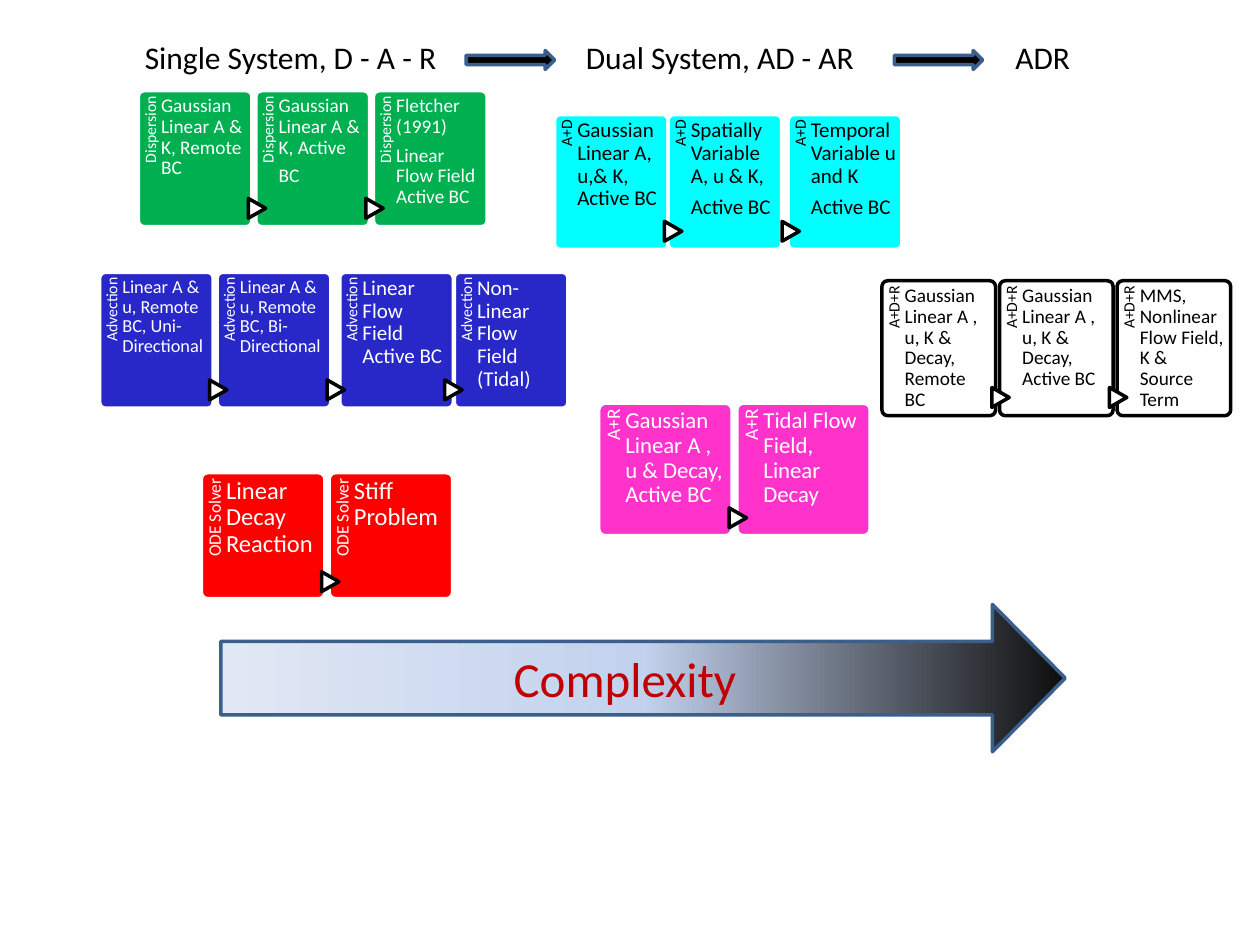
from copy import deepcopy

from pptx import Presentation
from pptx.dml.color import RGBColor
from pptx.enum.shapes import MSO_SHAPE
from pptx.enum.text import MSO_ANCHOR, PP_ALIGN
from pptx.util import Cm, Pt

FONT = "Calibri"
BLACK, WHITE, STEEL = "000000", "FFFFFF", "3A5F8C"
PITCH = 1.035  # distance between cards, in card widths

# box (left, top, width, height in cm), fill, outline, text colour, label,
# label size, cards as (text, size, nudge to the right in cm)
CHAINS = [
    ((2.01, 5.49, 2.29, 2.74), "2828C8", WHITE, WHITE, "Advection", 9, [
        ("Linear A & u, Remote BC, Uni-Directional", 10.5, 0),
        ("Linear A & u, Remote BC, Bi- Directional", 10.5, 0),
        ("Linear Flow Field Active BC", 12, 0.1),
        ("Non-Linear Flow Field (Tidal)", 12, 0.04)]),
    ((2.79, 1.83, 2.29, 2.74), "00B050", WHITE, WHITE, "Dispersion", 9, [
        ("Gaussian Linear A & K, Remote BC", 11, 0),
        ("Gaussian Linear A & K, Active\nBC", 11, 0),
        ("Fletcher (1991)\nLinear Flow Field Active BC", 11, 0)]),
    ((4.06, 9.53, 2.49, 2.54), "FF0000", WHITE, WHITE, "ODE Solver", 10, [
        ("Linear Decay Reaction", 14, 0),
        ("Stiff Problem", 14, 0)]),
    ((12.07, 8.13, 2.69, 2.67), "FF33CC", WHITE, WHITE, "A+R", 11, [
        ("Gaussian Linear A , u & Decay, Active BC", 13, 0),
        ("Tidal Flow Field, Linear Decay", 13, 0)]),
    ((11.18, 2.31, 2.29, 2.72), "00FFFF", WHITE, BLACK, "A+D", 9, [
        ("Gaussian Linear A, u,& K, Active BC", 12, 0),
        ("Spatially Variable A, u & K,\nActive BC", 12, -0.08),
        ("Temporal Variable u and K\nActive BC", 12, -0.03)]),
    ((17.78, 5.66, 2.29, 2.72), WHITE, BLACK, BLACK, "A+D+R", 9, [
        ("Gaussian Linear A , u, K & Decay, Remote BC", 11, 0),
        ("Gaussian Linear A , u, K & Decay, Active BC", 11, 0),
        ("MMS, Nonlinear Flow Field, K & Source Term", 11, 0)]),
]


def color(value):
    """Return the colour for a hex string."""
    return RGBColor.from_string(value)


def add_shape(page, kind, box, fill, line, rotation=0):
    """Add a flat preset shape with a 2 pt outline."""
    shape = page.shapes.add_shape(kind, *[Cm(length) for length in box])
    shape.shadow.inherit = False
    shape.rotation = rotation
    if fill:
        shape.fill.solid()
        shape.fill.fore_color.rgb = color(fill)
    shape.line.color.rgb = color(line)
    shape.line.width = Pt(2)
    return shape


def format_text(frame, text, size, ink, align=PP_ALIGN.LEFT):
    """Fill a text frame and format all its runs."""
    frame.text = text
    for para in frame.paragraphs:
        para.alignment = align
        for span in para.runs:
            span.font.name = FONT
            span.font.size = Pt(size)
            span.font.color.rgb = color(ink)


def add_text(page, box, text, size, ink, align=PP_ALIGN.LEFT):
    """Add a wrapping text box."""
    shape = page.shapes.add_textbox(*[Cm(length) for length in box])
    shape.text_frame.word_wrap = True
    format_text(shape.text_frame, text, size, ink, align)
    return shape


def add_card_text(page, box, text, size, ink, top, right=0, align=PP_ALIGN.LEFT):
    """Add tightly set text with the given top and right insets."""
    shape = add_text(page, box, text, size, ink, align)
    frame = shape.text_frame
    frame.margin_left = frame.margin_bottom = 0
    frame.margin_top, frame.margin_right = Cm(top), Cm(right)
    for para in frame.paragraphs:
        para.line_spacing = 0.9
        para.space_after = Pt(round(size * 0.42, 1))
    return shape


def add_triangle(page, center_x, center_y):
    """Add the small pointer that leads from one card to the next."""
    width, height = 0.4, 0.35
    box = (center_x - width / 2, center_y - height / 2, width, height)
    add_shape(page, MSO_SHAPE.FLOWCHART_EXTRACT, box, WHITE, BLACK, 90)


def add_chain(page, box, fill, line, ink, label, label_size, cards):
    """Add a row of cards; the box is that of the first card."""
    first, top, width, height = box
    for index, (text, size, nudge) in enumerate(cards):
        slot = first + index * PITCH * width
        left = slot + nudge
        card = add_shape(page, MSO_SHAPE.ROUNDED_RECTANGLE,
                         (left, top, width, height), fill, line)
        card.adjustments[0] = 0.05
        long, short = 0.82 * height, 0.2 * width
        label_box = (left + (short - long) / 2, top + (long - short) / 2, long, short)
        tag = add_card_text(page, label_box, label, label_size, ink,
                            0.035 * width, 0.045 * width, PP_ALIGN.RIGHT)
        tag.rotation = 270
        if index:
            add_triangle(page, slot + 0.02, top + 0.865 * height)
        add_card_text(page, (left + short, top, 0.75 * width, height),
                      text, size, ink, 0.045 * width)


def add_complexity_arrow(page, box):
    """Add the large gradient arrow, a down arrow turned to point right."""
    arrow = add_shape(page, MSO_SHAPE.DOWN_ARROW, box, None, STEEL, 270)
    arrow.adjustments[0], arrow.adjustments[1] = 0.5, 0.494
    arrow.fill.gradient()
    arrow.fill.gradient_angle = 90
    stops = arrow.fill.gradient_stops
    first = stops[0]._gs
    first.addnext(deepcopy(first))
    shades = [(0, "0D0D0D"), (0.5, "C2D1ED"), (1, "E1E8F5")]
    for stop, (position, shade) in zip(arrow.fill.gradient_stops, shades):
        stop.position = position
        stop.color.rgb = color(shade)
    frame = arrow.text_frame
    frame.vertical_anchor = MSO_ANCHOR.MIDDLE
    frame._txBody.bodyPr.set("vert", "vert")
    format_text(frame, "Complexity", 28, "C00000", PP_ALIGN.CENTER)


def add_headings(page, top):
    """Add the three stage headings and the arrows between them."""
    for left, width, text in [(2.67, 7.49, "Single System, D - A - R"),
                              (11.56, 6.1, "Dual System, AD - AR"),
                              (20.22, 3, "ADR")]:
        add_text(page, (left, top, width, 1.02), text, 18, BLACK)
    for left in (9.4, 18.03):
        add_shape(page, MSO_SHAPE.RIGHT_ARROW, (left, top + 0.38, 1.78, 0.38),
                  BLACK, STEEL)


def build():
    """Build and save the deck."""
    deck = Presentation()
    deck.slide_width, deck.slide_height = Cm(25.4), Cm(19.05)
    page = deck.slides.add_slide(deck.slide_layouts[6])
    add_complexity_arrow(page, (11.48, 5.16, 2.97, 17.02))
    for chain in CHAINS:
        add_chain(page, *chain)
    add_headings(page, 0.64)
    deck.save("out.pptx")


build()
